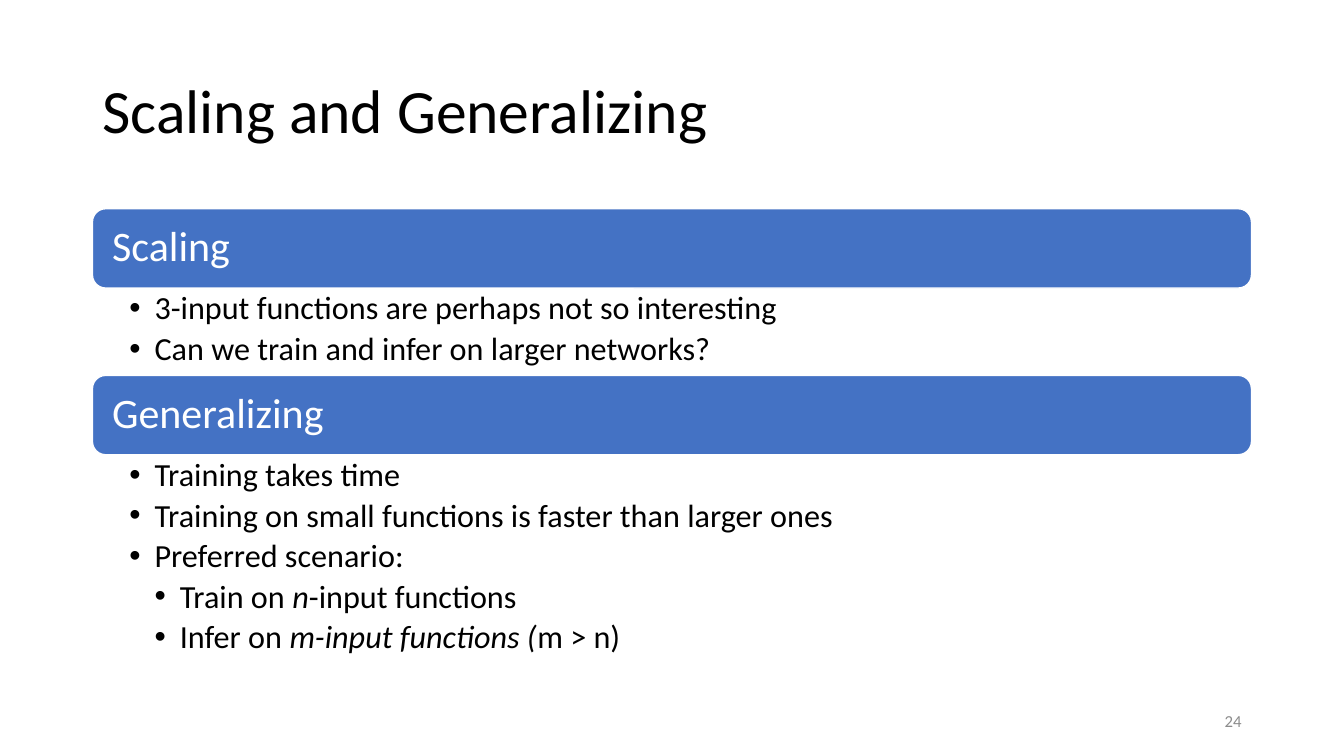
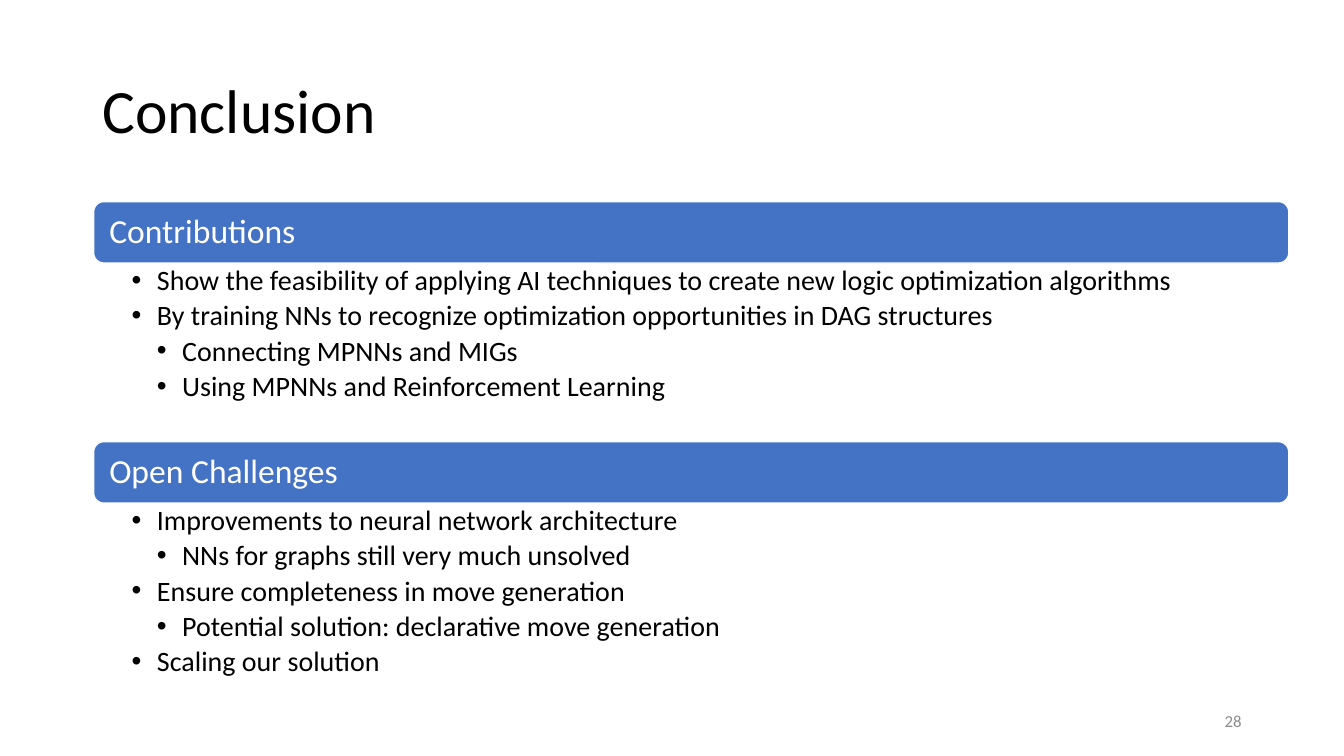
from dataclasses import dataclass

from lxml.etree import SubElement
from pptx import Presentation
from pptx.dml.color import RGBColor
from pptx.enum.shapes import MSO_SHAPE as Shape
from pptx.enum.text import MSO_ANCHOR as Anchor, MSO_AUTO_SIZE as AutoSize, PP_ALIGN as Align
from pptx.oxml.ns import qn
from pptx.util import Cm, Pt

BLACK = RGBColor(0x00, 0x00, 0x00)
WHITE = RGBColor(0xFF, 0xFF, 0xFF)
BLUE = RGBColor(0x44, 0x72, 0xC4)
GRAY = RGBColor(0x8C, 0x8C, 0x8C)

FONT = "Calibri"
TWO_CONTENT_LAYOUT = 3
MARGIN = 2.33
CONTENT_WIDTH = 29.21
INDENT = 0.635


@dataclass
class SectionStyle:
    """Sizes of the bars and lists on one slide: lengths in cm, text in points."""
    left: float
    top: float
    width: float
    bar_height: float
    bar_inset: float
    bar_size: int
    list_insets: tuple
    list_size: int


class Deck:
    def __init__(self):
        self.presentation = Presentation()
        self.presentation.slide_width = Cm(33.87)
        self.presentation.slide_height = Cm(19.05)
        self.slide = None

    def add_slide(self, title, number):
        layout = self.presentation.slide_layouts[TWO_CONTENT_LAYOUT]
        self.slide = self.presentation.slides.add_slide(layout)
        self.add_title(title)
        self.add_number(number)

    @staticmethod
    def place(shape, left, top, width, height):
        shape.left, shape.top = Cm(left), Cm(top)
        shape.width, shape.height = Cm(width), Cm(height)

    @staticmethod
    def set_frame(shape, anchor, insets=(0.25, 0.13, 0.25, 0.13)):
        frame = shape.text_frame
        frame.word_wrap = True
        frame.auto_size = AutoSize.NONE
        frame.vertical_anchor = anchor
        (frame.margin_left, frame.margin_top,
         frame.margin_right, frame.margin_bottom) = map(Cm, insets)
        return frame

    @staticmethod
    def set_style(paragraph, size, color, align=Align.LEFT, line_spacing=0.9):
        paragraph.alignment = align
        paragraph.line_spacing = line_spacing
        paragraph.space_before = Pt(0)
        font = paragraph.font
        font.name, font.size, font.color.rgb = FONT, Pt(size), color

    def add_title(self, text):
        title = self.slide.shapes.title
        self.place(title, MARGIN, 1.01, CONTENT_WIDTH, 3.68)
        paragraph = self.set_frame(title, Anchor.MIDDLE).paragraphs[0]
        paragraph.text = text
        self.set_style(paragraph, 44, BLACK)

    def add_number(self, number):
        box = self.slide.shapes.add_textbox(Cm(23.92), Cm(17.66), Cm(7.62), Cm(1.01))
        paragraph = self.set_frame(box, Anchor.MIDDLE).paragraphs[0]
        paragraph.text = str(number)
        self.set_style(paragraph, 12, GRAY, Align.RIGHT, 1.0)

    def add_bar(self, text, top, style):
        bar = self.slide.shapes.add_shape(
            Shape.ROUNDED_RECTANGLE, Cm(style.left), Cm(top),
            Cm(style.width), Cm(style.bar_height))
        bar.shadow.inherit = False
        bar.fill.solid()
        bar.fill.fore_color.rgb = BLUE
        bar.line.color.rgb = WHITE
        bar.line.width = Pt(1)
        frame = self.set_frame(bar, Anchor.MIDDLE, (style.bar_inset,) * 4)
        frame.paragraphs[0].text = text
        self.set_style(frame.paragraphs[0], style.bar_size, WHITE)

    def add_list(self, placeholder, items, top, height, style):
        """Fill a body placeholder with (level, text) items; *stars* mark italics."""
        self.place(placeholder, style.left, top, style.width, height)
        frame = self.set_frame(placeholder, Anchor.TOP, style.list_insets)
        for index, (level, text) in enumerate(items):
            paragraph = frame.add_paragraph() if index else frame.paragraphs[0]
            paragraph.level = level
            self.add_bullet(paragraph, level)
            self.set_style(paragraph, style.list_size, BLACK)
            paragraph.space_after = Pt(round(0.18 * style.list_size, 1))
            for position, part in enumerate(text.split("*")):
                run = paragraph.add_run()
                run.text = part
                if position % 2:
                    run.font.italic = True

    @staticmethod
    def add_bullet(paragraph, level):
        properties = paragraph._p.get_or_add_pPr()
        properties.set("marL", str(Cm(INDENT * level)))
        properties.set("indent", str(-Cm(INDENT)))
        SubElement(properties, qn("a:buFont")).set("typeface", "Arial")
        SubElement(properties, qn("a:buChar")).set("char", "•")

    def add_sections(self, sections, style):
        """Stack (heading, list height, items) sections down the slide."""
        top = style.top
        bodies = list(self.slide.placeholders)[1:]
        for body, (heading, list_height, items) in zip(bodies, sections):
            self.add_bar(heading, top, style)
            top += style.bar_height
            self.add_list(body, items, top, list_height, style)
            top += list_height


def main():
    deck = Deck()

    deck.add_slide("Scaling and Generalizing", 24)
    deck.add_sections([
        ("Scaling", 2.2, [
            (1, "3-input functions are perhaps not so interesting"),
            (1, "Can we train and infer on larger networks?"),
        ]),
        ("Generalizing", 5.51, [
            (1, "Training takes time"),
            (1, "Training on small functions is faster than larger ones"),
            (1, "Preferred scenario:"),
            (2, "Train on *n*-input functions"),
            (2, "Infer on *m-input functions (*m > n)"),
        ]),
    ], SectionStyle(left=MARGIN, top=5.26, width=CONTENT_WIDTH,
                    bar_height=2.0, bar_inset=0.4, bar_size=30,
                    list_insets=(0.93, 0.1, 0.58, 0.1), list_size=23))

    deck.add_slide("Conclusion", 28)
    deck.add_sections([
        ("Contributions", 4.5, [
            (1, "Show the feasibility of applying AI techniques to create new "
                "logic optimization algorithms"),
            (1, "By training NNs to recognize optimization opportunities in DAG structures"),
            (2, "Connecting MPNNs and MIGs"),
            (2, "Using MPNNs and Reinforcement Learning"),
        ]),
        ("Open Challenges", 6.38, [
            (1, "Improvements to neural network architecture"),
            (2, "NNs for graphs still very much unsolved"),
            (1, "Ensure completeness in move generation"),
            (2, "Potential solution: declarative move generation"),
            (1, "Scaling our solution"),
        ]),
    ], SectionStyle(left=2.36, top=5.08, width=30.12,
                    bar_height=1.55, bar_inset=0.32, bar_size=24,
                    list_insets=(0.96, 0.08, 0.41, 0.08), list_size=20))

    deck.presentation.save("out.pptx")


if __name__ == "__main__":
    main()
